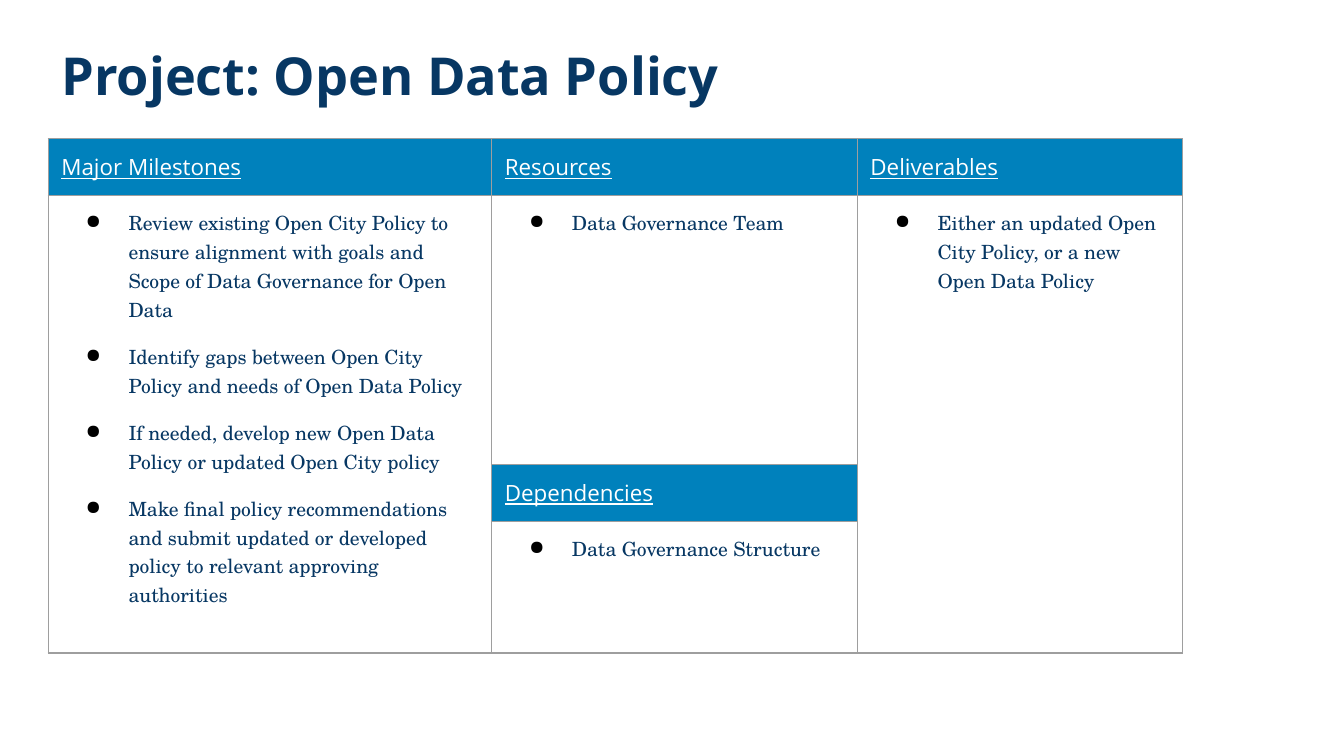
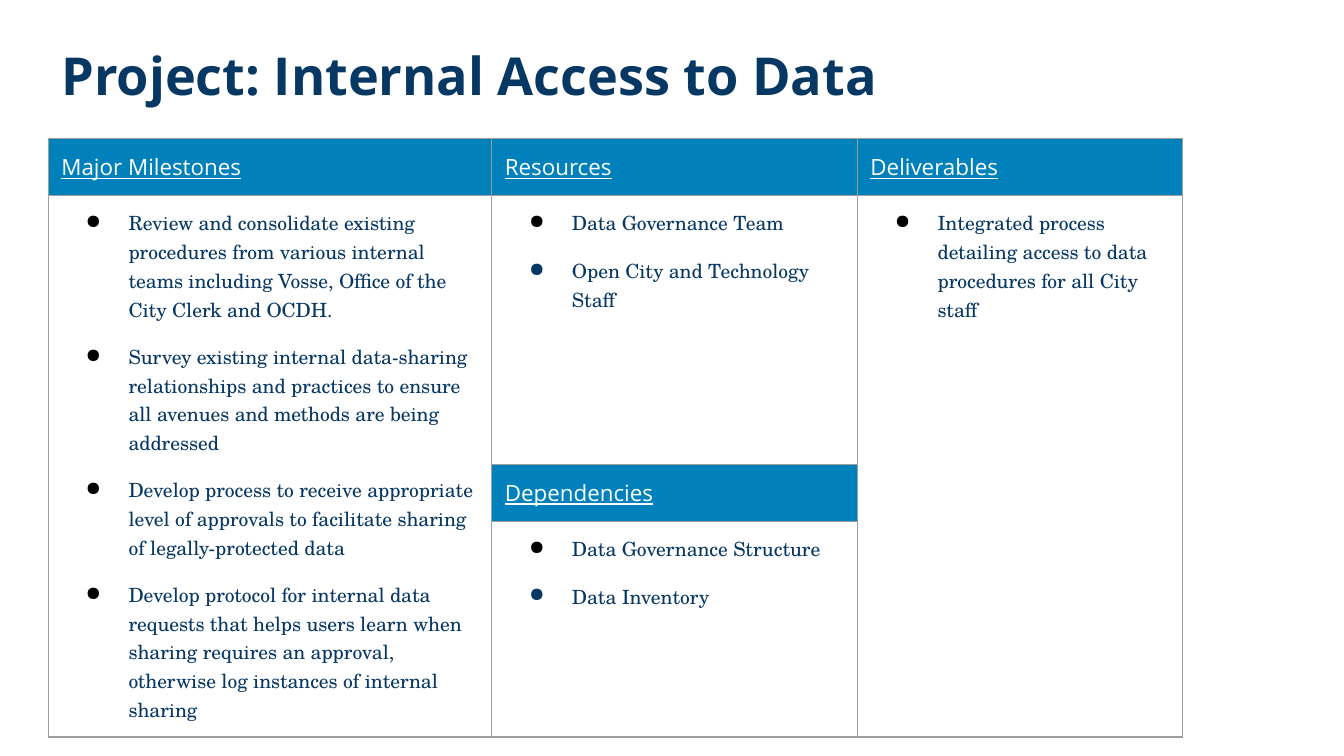
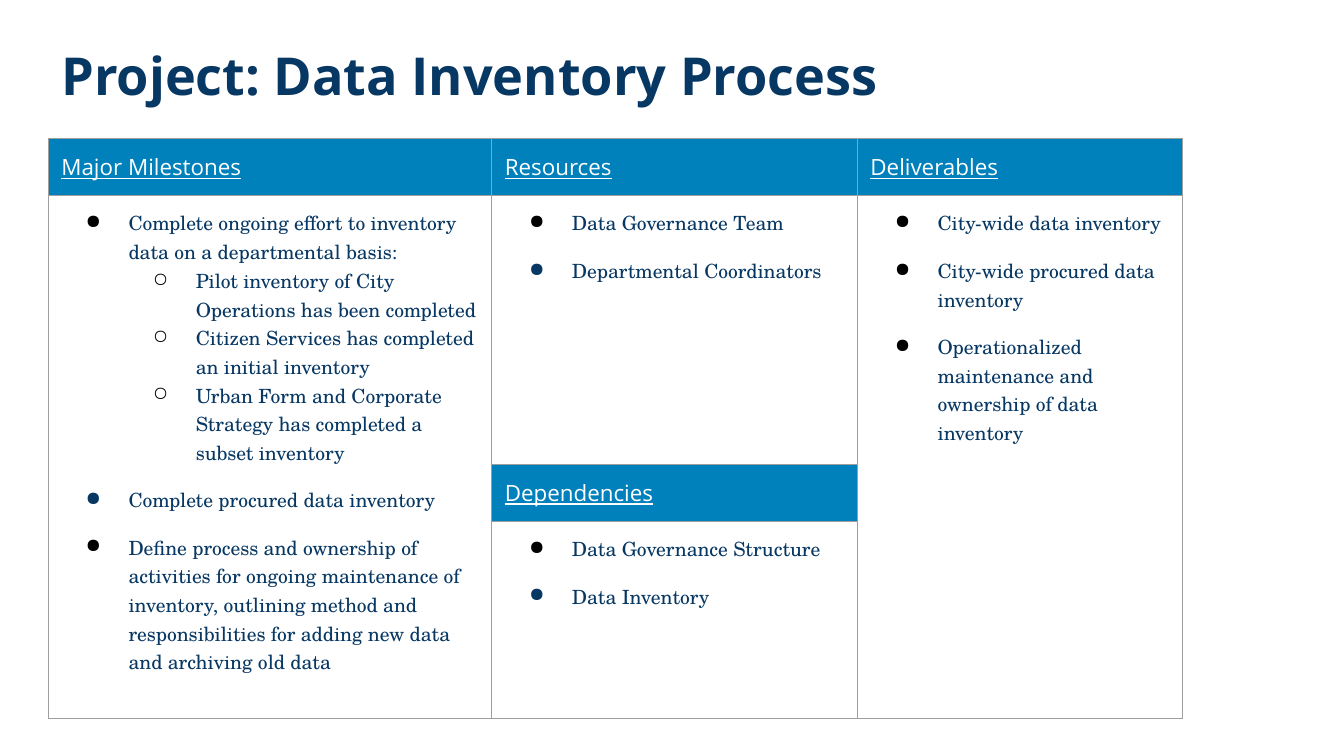
from lxml.etree import SubElement
from pptx import Presentation
from pptx.dml.color import RGBColor
from pptx.enum.text import MSO_ANCHOR, PP_ALIGN
from pptx.oxml.ns import qn
from pptx.util import Cm, Pt

NAVY, BLUE, WHITE, BLACK, GREY = "073763", "0081BC", "FFFFFF", "000000", "9E9E9E"
HEADING_FONT, BODY_FONT = "Open Sans", "TeX Gyre Schola"

LEFT, TITLE_TOP, TABLE_TOP = Cm(0.91), Cm(0.56), Cm(2.62)
TITLE_WIDTH, TITLE_HEIGHT = Cm(19.33), Cm(1.6)
COLUMN_WIDTHS = (8.38, 6.91, 6.15)
ROW_HEIGHTS = (0.56, 5.08, 0.46, 2.49)
INSET = Cm(0.25)
INDENT, HANGING = Cm(1.27), Cm(0.81)

# Heading -> (row, column) of its cell; its list stands in the cell below
HEADINGS = {
    "Major Milestones": (0, 0),
    "Resources": (0, 1),
    "Deliverables": (0, 2),
    "Dependencies": (2, 1),
}
FULL_HEIGHT_COLUMNS = (0, 2)

# An item is plain text, or (text, level, bullet colour)
PROJECTS = [
    {
        "title": "Project: Open Data Policy",
        "Major Milestones": [
            "Review existing Open City Policy to ensure alignment with goals and "
            "Scope of Data Governance for Open Data",
            "Identify gaps between Open City Policy and needs of Open Data Policy",
            "If needed, develop new Open Data Policy or updated Open City policy",
            "Make final policy recommendations and submit updated or developed "
            "policy to relevant approving authorities",
        ],
        "Resources": ["Data Governance Team"],
        "Deliverables": ["Either an updated Open City Policy, or a new Open Data Policy"],
        "Dependencies": ["Data Governance Structure"],
    },
    {
        "title": "Project: Internal Access to Data",
        "Major Milestones": [
            "Review and consolidate existing procedures from various internal "
            "teams including Vosse, Office of the City Clerk and OCDH.",
            "Survey existing internal data-sharing relationships and practices to "
            "ensure all avenues and methods are being addressed",
            "Develop process to receive appropriate level of approvals to "
            "facilitate sharing of legally-protected data",
            "Develop protocol for internal data requests that helps users learn "
            "when sharing requires an approval, otherwise log instances of "
            "internal sharing",
        ],
        "Resources": [
            "Data Governance Team",
            ("Open City and Technology Staff", 0, NAVY),
        ],
        "Deliverables": [
            "Integrated process detailing access to data procedures for all City staff",
        ],
        "Dependencies": ["Data Governance Structure", ("Data Inventory", 0, NAVY)],
    },
    {
        "title": "Project: Data Inventory Process",
        "last_row": 3.73,
        "Major Milestones": [
            "Complete ongoing effort to inventory data on a departmental basis:",
            ("Pilot inventory of City Operations has been completed", 1, BLACK),
            ("Citizen Services has completed an initial inventory", 1, BLACK),
            ("Urban Form and Corporate Strategy has completed a subset inventory", 1, BLACK),
            ("Complete procured data inventory", 0, NAVY),
            "Define process and ownership of activities for ongoing maintenance of "
            "inventory, outlining method and responsibilities for adding new data "
            "and archiving old data",
        ],
        "Resources": ["Data Governance Team", ("Departmental Coordinators", 0, NAVY)],
        "Deliverables": [
            "City-wide data inventory",
            "City-wide procured data inventory",
            "Operationalized maintenance and ownership of data inventory",
        ],
        "Dependencies": ["Data Governance Structure", ("Data Inventory", 0, NAVY)],
    },
]


def rgb(color):
    return RGBColor.from_string(color)


def set_font(paragraph, name, size, color, bold=False, underline=False):
    font = paragraph.font
    font.name, font.size, font.bold, font.underline = name, Pt(size), bold, underline
    font.color.rgb = rgb(color)


def add_title(slide, text):
    title = slide.shapes.title
    title.left, title.top, title.width, title.height = LEFT, TITLE_TOP, TITLE_WIDTH, TITLE_HEIGHT
    frame = title.text_frame
    frame.margin_left = frame.margin_right = frame.margin_top = frame.margin_bottom = INSET
    frame.vertical_anchor = MSO_ANCHOR.TOP
    frame.word_wrap = True
    frame.text = text
    paragraph = frame.paragraphs[0]
    paragraph.alignment = PP_ALIGN.LEFT
    set_font(paragraph, HEADING_FONT, 28, NAVY, bold=True)


def format_cell(cell):
    """Give a cell its insets, thin grey borders and no fill."""
    cell.margin_left = cell.margin_right = cell.margin_top = cell.margin_bottom = INSET
    properties = cell._tc.get_or_add_tcPr()
    for side in ("lnL", "lnR", "lnT", "lnB"):
        border = SubElement(properties, qn(f"a:{side}"), w=str(Pt(0.75)))
        border_fill = SubElement(border, qn("a:solidFill"))
        SubElement(border_fill, qn("a:srgbClr"), val=GREY)
    cell.fill.background()


def fill_heading(cell, heading):
    cell.fill.solid()
    cell.fill.fore_color.rgb = rgb(BLUE)
    cell.text = heading
    set_font(cell.text_frame.paragraphs[0], HEADING_FONT, 12, WHITE, underline=True)


def add_bullet(paragraph, level, color):
    paragraph.level = level
    properties = paragraph._p.get_or_add_pPr()
    properties.set("marL", str(INDENT * (level + 1)))
    properties.set("indent", str(-HANGING))
    bullet_color = SubElement(properties, qn("a:buClr"))
    SubElement(bullet_color, qn("a:srgbClr"), val=color)
    SubElement(properties, qn("a:buChar"), char="●○"[level])


def fill_list(cell, items):
    frame = cell.text_frame
    for number, item in enumerate(items):
        text, level, color = (item, 0, BLACK) if isinstance(item, str) else item
        paragraph = frame.add_paragraph() if number else frame.paragraphs[0]
        paragraph.text = text
        set_font(paragraph, BODY_FONT, 10.5, NAVY)
        add_bullet(paragraph, level, color)
        paragraph.space_before = Pt(10 if number and level == 0 else 0)
        paragraph.space_after = Pt(10 if number == len(items) - 1 else 0)


def add_plan(slide, project):
    heights = (*ROW_HEIGHTS[:-1], project.get("last_row", ROW_HEIGHTS[-1]))
    plan = slide.shapes.add_table(
        len(heights), len(COLUMN_WIDTHS), LEFT, TABLE_TOP,
        Cm(sum(COLUMN_WIDTHS)), Cm(sum(heights)),
    ).table
    plan.first_row = plan.horz_banding = False
    for column, width in zip(plan.columns, COLUMN_WIDTHS):
        column.width = Cm(width)
    for row, height in zip(plan.rows, heights):
        row.height = Cm(height)
    for cell in plan.iter_cells():
        format_cell(cell)
    for column in FULL_HEIGHT_COLUMNS:
        plan.cell(1, column).merge(plan.cell(len(heights) - 1, column))
    for heading, (row, column) in HEADINGS.items():
        fill_heading(plan.cell(row, column), heading)
        fill_list(plan.cell(row + 1, column), project[heading])


def main():
    deck = Presentation()
    deck.slide_width, deck.slide_height = Cm(25.4), Cm(14.29)
    title_only = deck.slide_layouts[5]
    for project in PROJECTS:
        slide = deck.slides.add_slide(title_only)
        add_title(slide, project["title"])
        add_plan(slide, project)
    deck.save("out.pptx")


if __name__ == "__main__":
    main()
